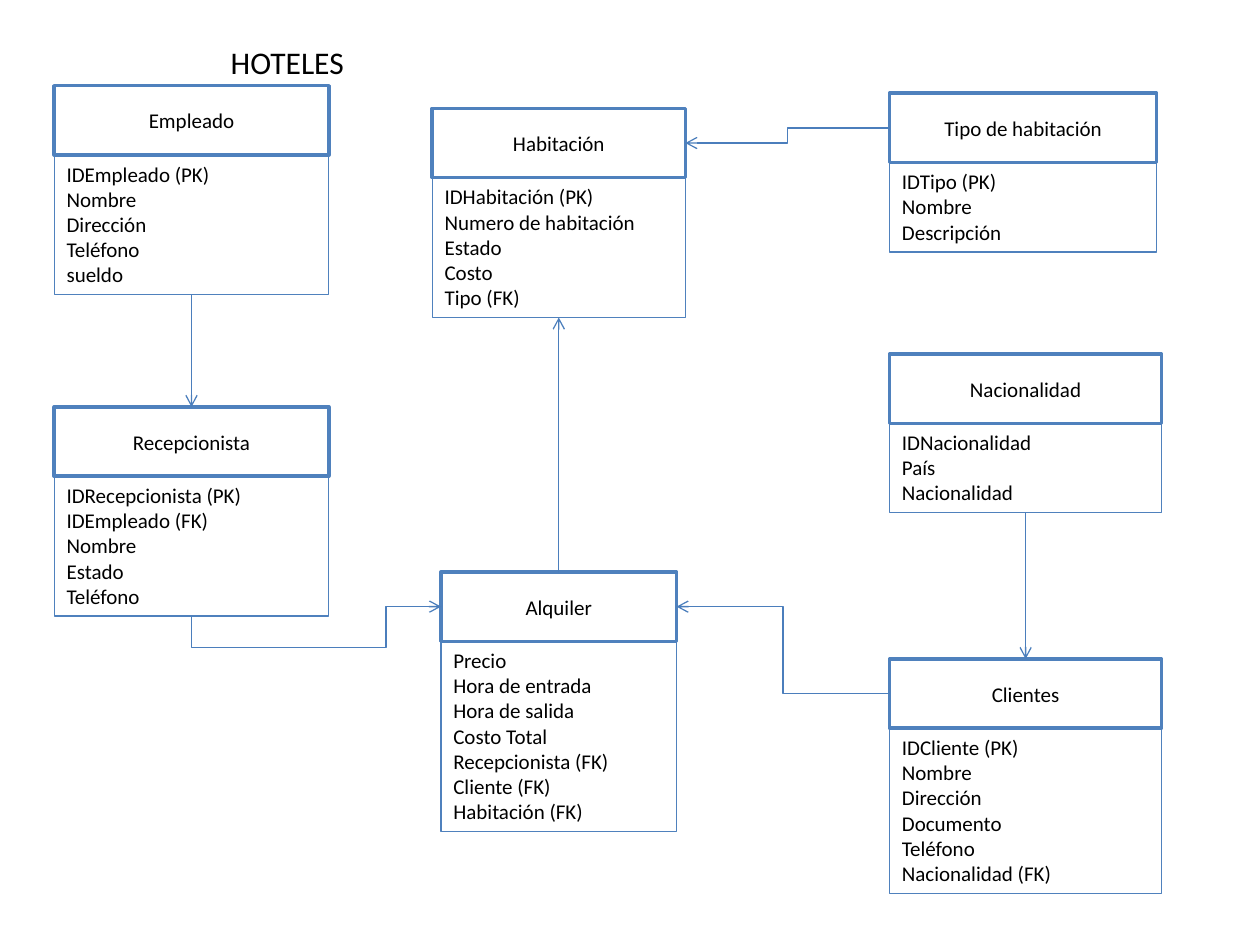
from lxml.etree import SubElement
from pptx import Presentation
from pptx.dml.color import RGBColor
from pptx.enum.shapes import MSO_CONNECTOR, MSO_SHAPE
from pptx.enum.text import MSO_ANCHOR, MSO_AUTO_SIZE, PP_ALIGN
from pptx.oxml.ns import qn
from pptx.util import Inches, Pt


def color(target, hex_value):
    if hasattr(target, "solid"):
        target.solid()
        target.fore_color.rgb = RGBColor.from_string(hex_value)
    else:
        target.rgb = RGBColor.from_string(hex_value)


def write(shape, lines, size=12, align=PP_ALIGN.LEFT, anchor=MSO_ANCHOR.TOP, fit=MSO_AUTO_SIZE.NONE):
    frame = shape.text_frame
    frame.word_wrap = True
    frame.auto_size = fit
    frame.vertical_anchor = anchor
    frame.text = "\n".join(lines)
    for paragraph in frame.paragraphs:
        paragraph.alignment = align
        font = paragraph.runs[0].font
        font.size = Pt(size)
        font.name = "Calibri"
        color(font.color, "000000")


presentation = Presentation()
presentation.slide_width, presentation.slide_height = Inches(10), Inches(7.5)
slide = presentation.slides.add_slide(presentation.slide_layouts[5])

heading = slide.shapes.title
heading.left, heading.top = Inches(0.43), Inches(0.29)
heading.width, heading.height = Inches(3.7), Inches(0.4)
write(heading, ["HOTELES"], size=18, align=PP_ALIGN.CENTER)

LEFT, MIDDLE, RIGHT = 0.43, 3.43, 7.06
HEADER, ROW, PADDING = 0.55, 0.2, 0.11
entities = {
    "Empleado": (LEFT, 0.68, 2.18, ["IDEmpleado (PK)", "Nombre", "Dirección", "Teléfono", "sueldo"]),
    "Recepcionista": (LEFT, 3.23, 2.18, ["IDRecepcionista (PK)", "IDEmpleado (FK)", "Nombre", "Estado", "Teléfono"]),
    "Habitación": (MIDDLE, 0.86, 2.01, ["IDHabitación (PK)", "Numero de habitación", "Estado", "Costo", "Tipo (FK)"]),
    "Alquiler": (MIDDLE + 0.07, 4.54, 1.87, [
        "Precio", "Hora de entrada", "Hora de salida", "Costo Total",
        "Recepcionista (FK)", "Cliente (FK)", "Habitación (FK)"]),
    "Tipo de habitación": (RIGHT, 0.74, 2.12, ["IDTipo (PK)", "Nombre", "Descripción"]),
    "Nacionalidad": (RIGHT, 2.81, 2.16, ["IDNacionalidad", "País", "Nacionalidad"]),
    "Clientes": (RIGHT, 5.23, 2.16, [
        "IDCliente (PK)", "Nombre", "Dirección", "Documento", "Teléfono", "Nacionalidad (FK)"]),
}

headers, fields = {}, {}
for entity, (left, top, width, attributes) in entities.items():
    parts = (
        (headers, top, HEADER, 2),
        (fields, top + HEADER, PADDING + ROW * len(attributes), 0.75),
    )
    for group, y, height, weight in parts:
        box = slide.shapes.add_shape(
            MSO_SHAPE.RECTANGLE, Inches(left), Inches(y), Inches(width), Inches(height))
        box.shadow.inherit = False
        color(box.line.fill, "4F81BD")
        box.line.width = Pt(weight)
        group[entity] = box
    color(headers[entity].fill, "FFFFFF")
    fields[entity].fill.background()
    write(headers[entity], [entity], align=PP_ALIGN.CENTER, anchor=MSO_ANCHOR.MIDDLE)
    write(fields[entity], attributes, fit=MSO_AUTO_SIZE.SHAPE_TO_FIT_TEXT)

TOP_SIDE, LEFT_SIDE, BOTTOM_SIDE, RIGHT_SIDE = range(4)
STRAIGHT, ELBOW = MSO_CONNECTOR.STRAIGHT, MSO_CONNECTOR.ELBOW
relations = [
    (STRAIGHT, fields["Empleado"], BOTTOM_SIDE, headers["Recepcionista"], TOP_SIDE),
    (STRAIGHT, headers["Alquiler"], TOP_SIDE, fields["Habitación"], BOTTOM_SIDE),
    (STRAIGHT, fields["Nacionalidad"], BOTTOM_SIDE, headers["Clientes"], TOP_SIDE),
    (ELBOW, headers["Tipo de habitación"], LEFT_SIDE, headers["Habitación"], RIGHT_SIDE),
    (ELBOW, headers["Clientes"], LEFT_SIDE, headers["Alquiler"], RIGHT_SIDE),
    (ELBOW, fields["Recepcionista"], BOTTOM_SIDE, headers["Alquiler"], LEFT_SIDE),
]
for kind, source, source_side, target, target_side in relations:
    relation = slide.shapes.add_connector(kind, 0, 0, 0, 0)
    relation.begin_connect(source, source_side)
    relation.end_connect(target, target_side)
    color(relation.line.fill, "4B7EBC")
    relation.line.width = Pt(0.75)
    properties = relation._element.spPr
    SubElement(properties.find(qn("a:ln")), qn("a:tailEnd"), type="arrow")
    SubElement(properties, qn("a:effectLst"))

    if kind == ELBOW and source_side == BOTTOM_SIDE:
        across, rise = relation.width, relation.height
        center_x, center_y = relation.left + across // 2, relation.top + rise // 2
        relation.left, relation.top = center_x - rise // 2, center_y - across // 2
        relation.width, relation.height = rise, across
        frame = properties.find(qn("a:xfrm"))
        for key, value in (("rot", "5400000"), ("flipH", "1"), ("flipV", "1")):
            frame.set(key, value)
        geometry = properties.find(qn("a:prstGeom"))
        geometry.set("prst", "bentConnector4")
        bends = geometry.find(qn("a:avLst"))
        drop = -Inches(0.25) / rise
        for name, share in (("adj1", drop), ("adj2", 0.78)):
            SubElement(bends, qn("a:gd"), name=name, fmla=f"val {round(share * 100000)}")

presentation.save("out.pptx")
